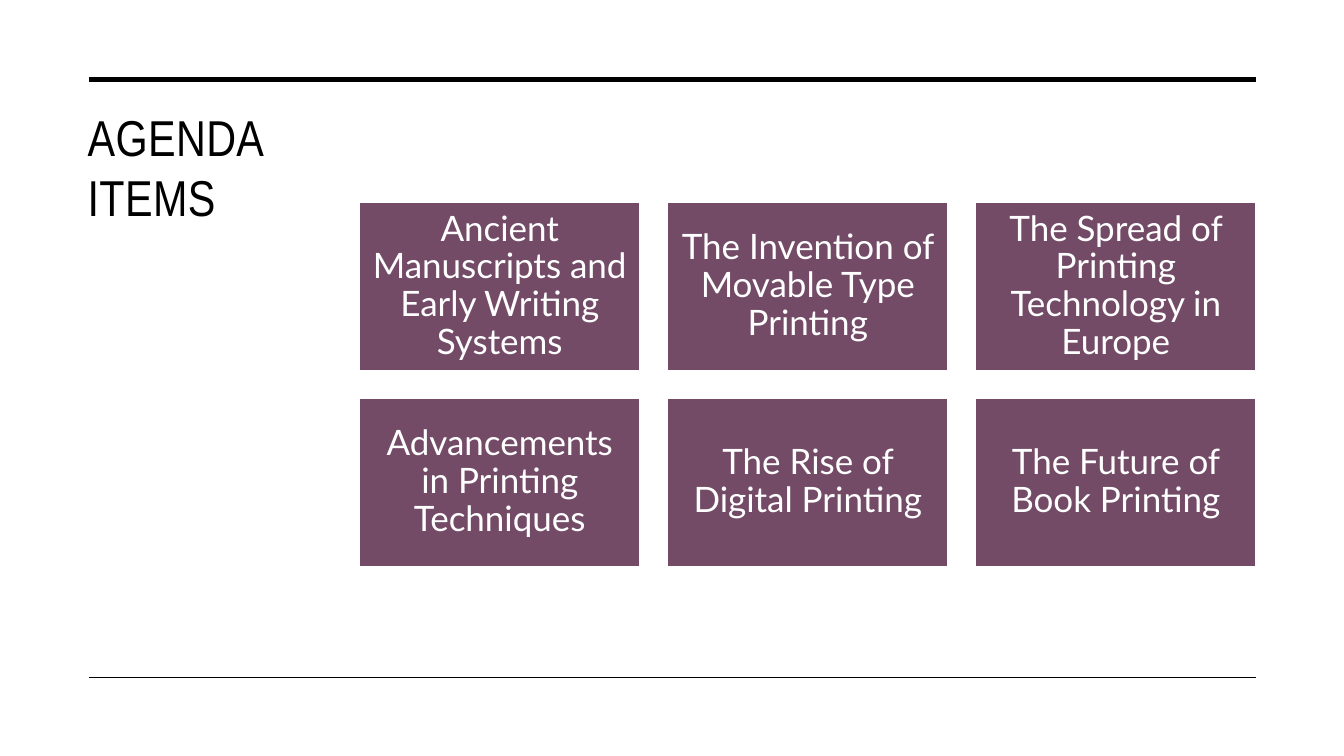
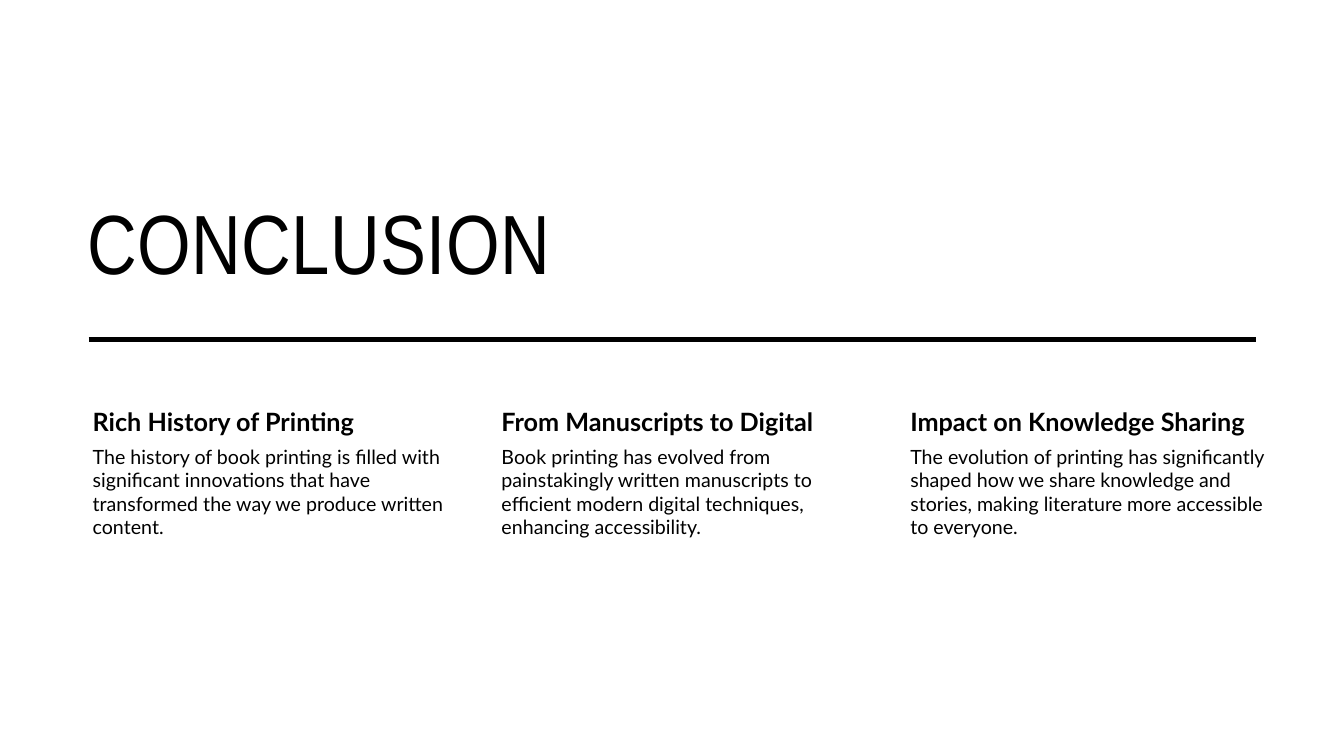
from dataclasses import dataclass
from lxml.etree import SubElement
from pptx import Presentation
from pptx.dml.color import RGBColor
from pptx.enum.shapes import MSO_CONNECTOR as Connector, MSO_SHAPE as Shape
from pptx.enum.text import MSO_ANCHOR as Anchor, MSO_AUTO_SIZE as AutoSize, PP_ALIGN as Align
from pptx.oxml.ns import qn
from pptx.util import Pt


@dataclass(frozen=True)
class Theme:
    ink: RGBColor = RGBColor(0x00, 0x00, 0x00)
    paper: RGBColor = RGBColor(0xFF, 0xFF, 0xFF)
    plum: RGBColor = RGBColor(0x73, 0x4B, 0x67)
    title_font: str = "Arial Narrow"
    body_font: str = "Lato"
    title_size: float = 36
    closing_size: float = 60
    card_size: float = 25
    heading_size: float = 18
    detail_size: float = 14
    thick: float = 3.5
    thin: float = 1
    left: float = 63.4
    right: float = 897


theme = Theme()


def add_titled_slide(wording, box, size, anchor, rules):
    slide = deck.slides.add_slide(deck.slide_layouts[5])
    title = slide.shapes.title
    title.left, title.top, title.width, title.height = map(Pt, box)
    frame = title.text_frame
    frame.text = wording
    frame.word_wrap = True
    frame.auto_size = AutoSize.NONE
    frame.vertical_anchor = anchor
    frame.paragraphs[0].alignment = Align.LEFT
    run = frame.paragraphs[0].runs[0]
    run._r.get_or_add_rPr().set("spc", "30")
    style_text(run.font, theme.title_font, size, theme.ink)
    for y, weight in rules:
        rule = slide.shapes.add_connector(
            Connector.STRAIGHT, Pt(theme.left), Pt(y), Pt(theme.right), Pt(y))
        rule.line.color.rgb = theme.ink
        rule.line.width = Pt(weight)
        SubElement(rule._element.spPr, qn("a:effectLst"))
    return slide


def style_text(font, name, size, color, bold=False):
    font.name = name
    font.size = Pt(size)
    font.color.rgb = color
    font.bold = bold


deck = Presentation()
deck.slide_width, deck.slide_height = Pt(960), Pt(540)

agenda = add_titled_slide(
    "AGENDA ITEMS", (55.4, 72, 221, 279.4), theme.title_size, Anchor.TOP,
    [(56.9, theme.thick), (483.8, theme.thin)])

topics = [
    "Ancient Manuscripts and Early Writing Systems",
    "The Invention of Movable Type Printing",
    "The Spread of Printing Technology in Europe",
    "Advancements in Printing Techniques",
    "The Rise of Digital Printing",
    "The Future of Book Printing",
]
card_left, card_top = 257, 144.5
card_width, card_height, card_gap = 200, 120, 20
for index, topic in enumerate(topics):
    row, column = divmod(index, 3)
    card = agenda.shapes.add_shape(
        Shape.RECTANGLE,
        Pt(card_left + column * (card_width + card_gap)),
        Pt(card_top + row * (card_height + card_gap)),
        Pt(card_width), Pt(card_height))
    card.shadow.inherit = False
    card.fill.solid()
    card.fill.fore_color.rgb = theme.plum
    card.line.color.rgb = theme.paper
    card.line.width = Pt(theme.thin)
    frame = card.text_frame
    frame.text = topic
    frame.word_wrap = True
    frame.vertical_anchor = Anchor.MIDDLE
    frame.margin_left = frame.margin_right = Pt(7.2)
    frame.margin_top = frame.margin_bottom = Pt(7.2)
    label = frame.paragraphs[0]
    label.alignment = Align.CENTER
    label.line_spacing = 0.9
    style_text(label.runs[0].font, theme.body_font, theme.card_size, theme.paper)

conclusion = add_titled_slide(
    "CONCLUSION", (55.4, 100.8, 629.3, 110.9), theme.closing_size, Anchor.BOTTOM,
    [(242.6, theme.thick)])

takeaways = [
    ("Rich History of Printing",
     "The history of book printing is filled with significant innovations "
     "that have transformed the way we produce written content."),
    ("From Manuscripts to Digital",
     "Book printing has evolved from painstakingly written manuscripts to "
     "efficient modern digital techniques, enhancing accessibility."),
    ("Impact on Knowledge Sharing",
     "The evolution of printing has significantly shaped how we share knowledge "
     "and stories, making literature more accessible to everyone."),
]
takeaway_left, takeaway_pitch, takeaway_width = 55.4, 292, 265.7
for column, (heading, detail) in enumerate(takeaways):
    parts = [
        (heading, 288, 28, 2.2, theme.heading_size, True),
        (detail, 316, 168.5, 1.6, theme.detail_size, False),
    ]
    for wording, top, height, margin, size, bold in parts:
        passage = conclusion.shapes.add_textbox(
            Pt(takeaway_left + column * takeaway_pitch), Pt(top),
            Pt(takeaway_width), Pt(height))
        frame = passage.text_frame
        frame.text = wording
        frame.word_wrap = True
        frame.margin_left = Pt(10.8)
        frame.margin_right = frame.margin_top = frame.margin_bottom = Pt(margin)
        style_text(frame.paragraphs[0].runs[0].font, theme.body_font, size, theme.ink, bold)

deck.save("out.pptx")
